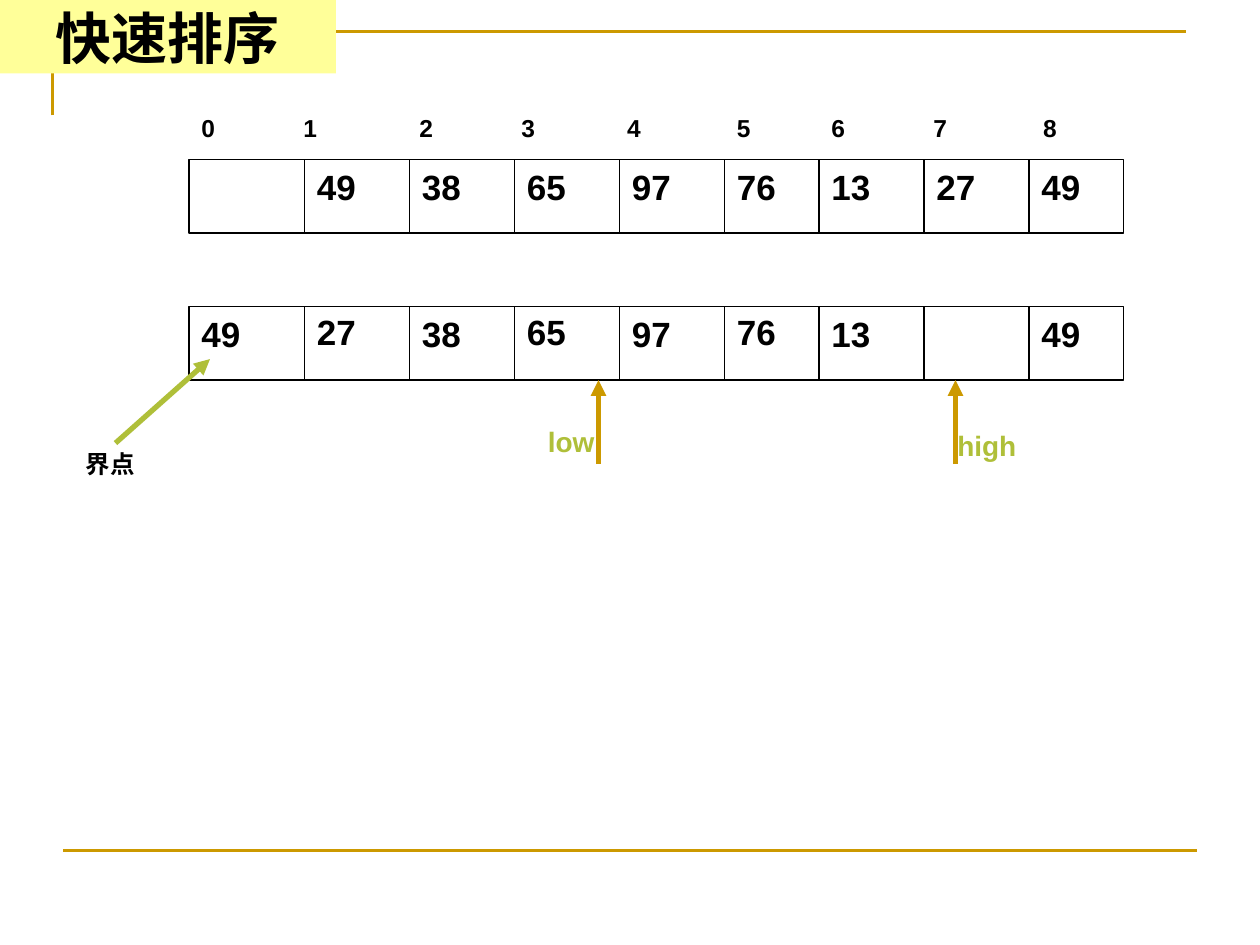
from lxml.etree import SubElement
from pptx import Presentation
from pptx.dml.color import RGBColor
from pptx.enum.shapes import MSO_CONNECTOR, MSO_SHAPE
from pptx.enum.text import MSO_ANCHOR, PP_ALIGN
from pptx.oxml.ns import qn
from pptx.util import Inches, Pt

BLACK = RGBColor(0x00, 0x00, 0x00)
WHITE = RGBColor(0xFF, 0xFF, 0xFF)
GOLD = RGBColor(0xCC, 0x99, 0x00)
GREEN = RGBColor(0xAF, 0xBF, 0x39)
YELLOW = RGBColor(0xFF, 0xFF, 0x99)

UNIT = Inches(1 / 12)
EDGES = [18, 29, 39, 49, 59, 69, 78, 88, 98, 107]
CELL_ROWS = 7

deck = Presentation()
deck.slide_width = 120 * UNIT
deck.slide_height = 90 * UNIT
page = deck.slides.add_slide(deck.slide_layouts[6])


def add_line(start, end, color, width, arrow=False):
    ends = [round(value * UNIT) for value in (*start, *end)]
    line = page.shapes.add_connector(MSO_CONNECTOR.STRAIGHT, *ends)
    line.line.color.rgb = color
    line.line.width = Pt(width)
    if arrow:
        SubElement(line.line._get_or_add_ln(), qn("a:tailEnd"), type="triangle")
    SubElement(line._element.spPr, qn("a:effectLst"))


def add_text(text, column, row, columns, rows, size, color=BLACK):
    area = [round(value * UNIT) for value in (column, row, columns, rows)]
    box = page.shapes.add_textbox(*area)
    box.text_frame.word_wrap = True
    para = box.text_frame.paragraphs[0]
    para.text = text
    if "\t" in text:
        tabs = SubElement(para._p.get_or_add_pPr(), qn("a:tabLst"))
        for stop in (0.81, 1.73, 2.54, 3.38, 4.25, 5, 5.81, 6.68):
            SubElement(tabs, qn("a:tab"), pos=str(Inches(stop)), algn="l")
    para.font.name = "Arial"
    para.font.size = Pt(size)
    para.font.bold = True
    para.font.color.rgb = color


builder = page.shapes.build_freeform(5, 11, scale=UNIT)
builder.add_line_segments([(5, 3), (113, 3)], close=False)
corner = builder.convert_to_shape()
corner.shadow.inherit = False
corner.fill.background()
corner.line.color.rgb = GOLD
corner.line.width = Pt(1.5)
add_line((6, 81), (114, 81), GOLD, 1.5)

arrays = [
    (15.2, ["", "49", "38", "65", "97", "76", "13", "27", "49"], []),
    (29.2, ["49", "27", "38", "65", "97", "76", "13", "", "49"], [1, 3, 5]),
]
for top, values, raised in arrays:
    frame = page.shapes.add_shape(
        MSO_SHAPE.RECTANGLE, EDGES[0] * UNIT, round(top * UNIT),
        (EDGES[-1] - EDGES[0]) * UNIT, CELL_ROWS * UNIT)
    frame.shadow.inherit = False
    frame.fill.solid()
    frame.fill.fore_color.rgb = WHITE
    frame.line.color.rgb = BLACK
    frame.line.width = Pt(0.75)
    for edge in EDGES[1:-1]:
        add_line((edge, top), (edge, top + CELL_ROWS), BLACK, 0.75)
    for index, value in enumerate(values):
        if value:
            row = top - 0.2 if index in raised else top
            add_text(value, EDGES[index], row, 8, 5.3, 20)

add_text("\t".join(str(index) for index in range(9)), 18, 10.2, 89, 4.1, 14)

for label, column, row, arrow_column in [("low", 51, 39.8, 57), ("high", 90, 40.2, 91)]:
    add_line((arrow_column, 44.2), (arrow_column, 36.2), GOLD, 3, arrow=True)
    add_text(label, column, row, 11, 4.4, 16, GREEN)

add_text("界点", 7, 42.2, 10, 4.1, 14)
add_line((11, 42.2), (20, 34.2), GREEN, 3, arrow=True)

title = page.shapes.add_shape(MSO_SHAPE.RECTANGLE, 0, 0, 32 * UNIT, 7 * UNIT)
title.shadow.inherit = False
title.fill.solid()
title.fill.fore_color.rgb = YELLOW
title.line.fill.background()
title.text_frame.vertical_anchor = MSO_ANCHOR.MIDDLE
para = title.text_frame.paragraphs[0]
para.text = "快速排序"
para.alignment = PP_ALIGN.CENTER
para.font.name = "Times New Roman"
para.font.size = Pt(32)
para.font.bold = True
para.font.color.rgb = BLACK

deck.save("out.pptx")
